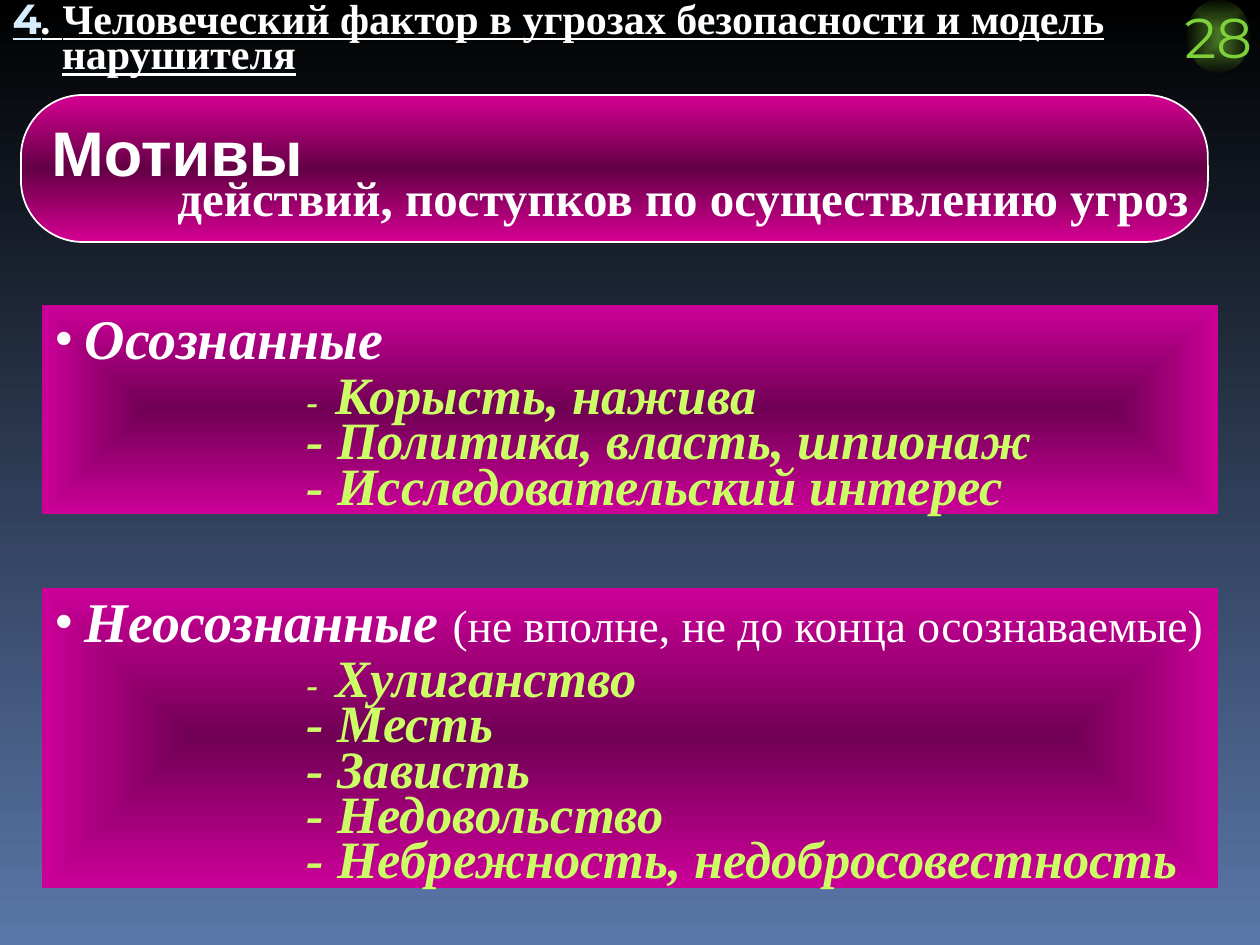
from dataclasses import dataclass
from typing import Optional

from lxml.etree import SubElement
from pptx import Presentation
from pptx.dml.color import RGBColor
from pptx.enum.shapes import MSO_SHAPE
from pptx.enum.text import MSO_ANCHOR, MSO_AUTO_SIZE, PP_ALIGN
from pptx.oxml.ns import qn
from pptx.util import Inches, Pt

EMU_PER_INCH = 914400
PX_PER_INCH = 126
COLORS = {
    "white": "FFFFFF", "ice": "D6ECFF", "lime": "CCFF66", "green": "7FD13B",
    "dark green": "091004", "black": "000000", "blue": "5A77A9",
    "pink": "D60093", "plum": "630044", "magenta": "CC0099", "purple": "700054",
}
SERIF, SANS, DISPLAY = "Times New Roman", "Arial", "Montserrat"


@dataclass
class Stop:
    position: int
    color: str
    opacity: int = 100


@dataclass
class MotiveGroup:
    top: int
    height: int
    heading: str
    remark: str
    motives: list[str]


GROUPS = [
    MotiveGroup(305, 209, "Осознанные", "",
                ["Корысть, нажива", "Политика, власть, шпионаж", "Исследовательский интерес"]),
    MotiveGroup(588, 300, "Неосознанные ", "(не вполне, не до конца осознаваемые)",
                ["Хулиганство", "Месть", "Зависть", "Недовольство",
                 "Небрежность, недобросовестность"]),
]


def px(length: int) -> int:
    return round(length * EMU_PER_INCH / PX_PER_INCH)


def place(shape, left: int, top: int, width: int, height: int) -> None:
    shape.left, shape.top, shape.width, shape.height = map(px, (left, top, width, height))


def fill_gradient(owner, element, stops: list[Stop], centered: bool = False) -> None:
    """Fill vertically, or outwards from the centre when centered."""
    owner.fill.gradient()
    gradient = next(element.iter(qn("a:gradFill")))
    for child in list(gradient):
        gradient.remove(child)
    stop_list = SubElement(gradient, qn("a:gsLst"))
    for stop in stops:
        node = SubElement(stop_list, qn("a:gs"), pos=str(stop.position * 1000))
        color = SubElement(node, qn("a:srgbClr"), val=COLORS[stop.color])
        if stop.opacity < 100:
            SubElement(color, qn("a:alpha"), val=str(stop.opacity * 1000))
    if centered:
        path = SubElement(gradient, qn("a:path"), path="rect")
        SubElement(path, qn("a:fillToRect"), l="50000", t="50000", r="50000", b="50000")
    else:
        SubElement(gradient, qn("a:lin"), ang="5400000", scaled="0")


def prepare_frame(shape, *, wrap: bool = True, anchor=MSO_ANCHOR.TOP):
    frame = shape.text_frame
    frame.word_wrap = wrap
    frame.auto_size = MSO_AUTO_SIZE.NONE
    frame.vertical_anchor = anchor
    frame.margin_left = frame.margin_right = Inches(0.1)
    frame.margin_top = frame.margin_bottom = Inches(0.05)
    return frame


def format_paragraph(paragraph, *, align=PP_ALIGN.LEFT, spacing: float = 1, before: float = 0,
                     margin: float = 0, indent: float = 0, bullet: Optional[str] = None):
    paragraph.alignment = align
    paragraph.line_spacing = spacing
    paragraph.space_before = Pt(before)
    properties = paragraph._p.get_or_add_pPr()
    properties.set("marL", str(Inches(margin)))
    properties.set("indent", str(Inches(indent)))
    if bullet:
        color = SubElement(properties, qn("a:buClr"))
        SubElement(color, qn("a:srgbClr"), val=COLORS["white"])
        SubElement(properties, qn("a:buFont"), typeface=SERIF)
        SubElement(properties, qn("a:buChar"), char=bullet)
    else:
        SubElement(properties, qn("a:buNone"))
    return paragraph


def add_text(paragraph, text: str, *, size: float, color: str = "white", font: str = SERIF,
             bold: bool = True, italic: bool = False, underline: bool = False) -> None:
    run = paragraph.add_run()
    run.text = text
    run.font.name = font
    run.font.size = Pt(size)
    run.font.bold = bold
    run.font.italic = italic
    run.font.underline = underline
    run.font.color.rgb = RGBColor.from_string(COLORS[color])


def add_title(title) -> None:
    place(title, 0, 0, 1166, 83)
    frame = prepare_frame(title)
    paragraph = format_paragraph(frame.paragraphs[0], spacing=0.7, margin=0.39, indent=-0.39)
    add_text(paragraph, "4", size=24, color="ice", font=DISPLAY, underline=True)
    add_text(paragraph, ". ", size=24, italic=True, underline=True)
    add_text(paragraph, "Человеческий фактор в угрозах безопасности и модель нарушителя",
             size=24, underline=True)


def add_banner(slide) -> None:
    banner = slide.shapes.add_shape(MSO_SHAPE.ROUNDED_RECTANGLE, 0, 0, 0, 0)
    place(banner, 21, 95, 1187, 147)
    banner.adjustments[0] = 0.42
    banner.shadow.inherit = False
    fill_gradient(banner, banner._element,
                  [Stop(0, "pink"), Stop(50, "plum"), Stop(100, "pink")])
    banner.line.color.rgb = RGBColor.from_string(COLORS["white"])
    banner.line.width = Pt(1)
    frame = prepare_frame(banner, wrap=False, anchor=MSO_ANCHOR.MIDDLE)
    add_text(format_paragraph(frame.paragraphs[0]), "Мотивы", size=36, font=SANS)
    add_text(format_paragraph(frame.add_paragraph(), spacing=0.6, margin=1),
             "действий, поступков по осуществлению угроз", size=28)


def add_motive_group(body, group: MotiveGroup) -> None:
    place(body, 42, group.top, 1176, group.height)
    fill_gradient(body, body._element, [Stop(0, "purple"), Stop(100, "magenta")], centered=True)
    frame = prepare_frame(body)
    heading = format_paragraph(frame.paragraphs[0], spacing=0.9, margin=0.24, indent=-0.24,
                               bullet="•")
    add_text(heading, group.heading, size=32, italic=True)
    if group.remark:
        add_text(heading, group.remark, size=26, bold=False)
    for index, motive in enumerate(group.motives):
        paragraph = format_paragraph(frame.add_paragraph(), spacing=0.2, before=18.7, margin=2)
        dash, dash_size = ("-  ", 20) if index == 0 else ("- ", 30)
        add_text(paragraph, dash, size=dash_size, color="lime", italic=True)
        add_text(paragraph, motive, size=30, color="lime", italic=True)


def add_number_badge(slide) -> None:
    badge = slide.shapes.add_shape(MSO_SHAPE.OVAL, 0, 0, 0, 0)
    place(badge, 1187, 0, 63, 73)
    badge.shadow.inherit = False
    fill_gradient(badge, badge._element,
                  [Stop(0, "green", 56), Stop(100, "dark green", 53)], centered=True)
    badge.line.fill.background()
    frame = prepare_frame(badge, wrap=False, anchor=MSO_ANCHOR.MIDDLE)
    paragraph = format_paragraph(frame.paragraphs[0], align=PP_ALIGN.CENTER)
    add_text(paragraph, "28", size=32, color="green", font=DISPLAY, bold=False)


def main() -> None:
    presentation = Presentation()
    presentation.slide_width, presentation.slide_height = Inches(10), Inches(7.5)
    slide = presentation.slides.add_slide(presentation.slide_layouts.get_by_name("Two Content"))
    fill_gradient(slide.background, slide._element, [Stop(0, "black"), Stop(100, "blue")])
    title, *bodies = slide.placeholders
    add_title(title)
    add_banner(slide)
    for body, group in zip(bodies, GROUPS):
        add_motive_group(body, group)
    add_number_badge(slide)
    presentation.save("out.pptx")


if __name__ == "__main__":
    main()
